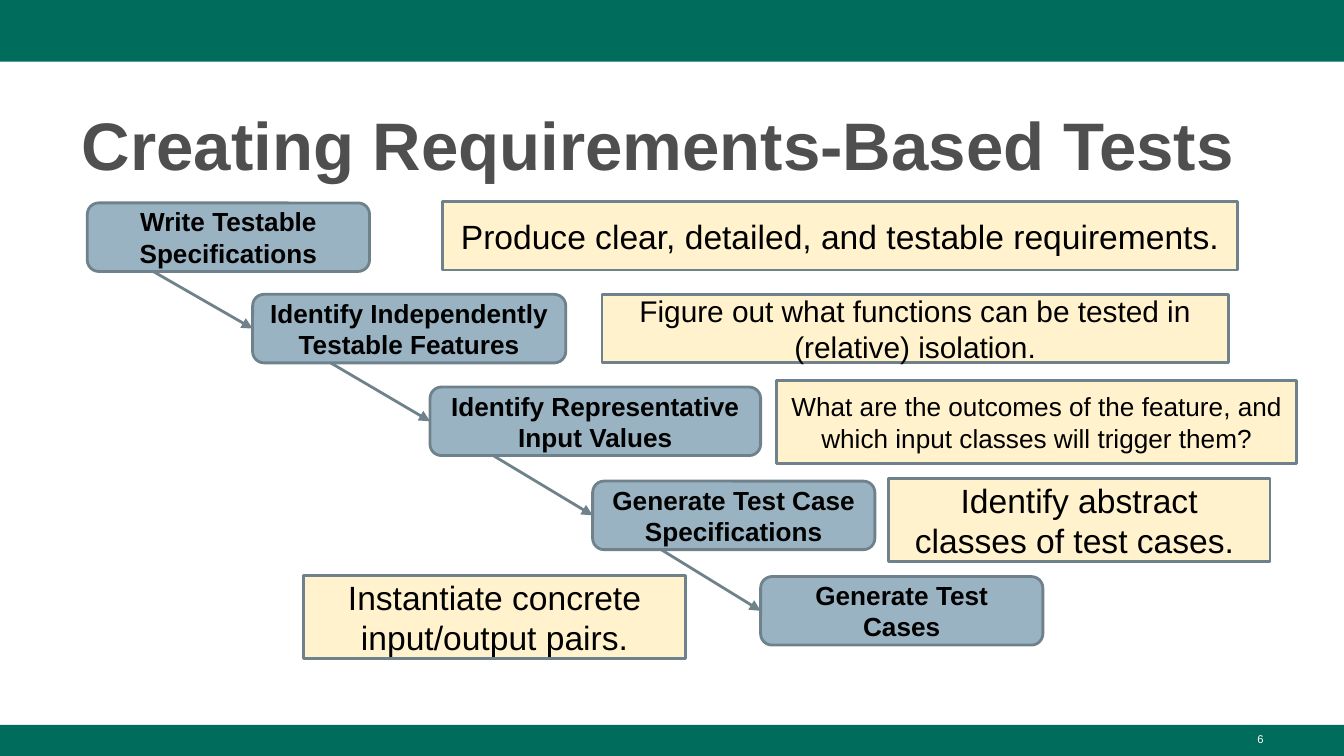
from lxml import etree
from pptx import Presentation
from pptx import util as u
from pptx.dml.color import RGBColor
from pptx.enum import shapes, text
from pptx.oxml.ns import qn

WIDTH = 10
HEIGHT = WIDTH * 9 / 16
GREEN, BLUE, CREAM, SLATE = "006C5C", "99B3C2", "FFF2CC", "6F828C"
STEP_HEIGHT = 0.51
ARROW_RUN = 0.74

# Each step: label, (left, top, width)
STEPS = [
    ("Write Testable Specifications", (0.65, 1.51, 2.1)),
    ("Identify Independently Testable Features", (1.88, 2.19, 2.33)),
    ("Identify Representative Input Values", (3.2, 2.88, 2.46)),
    ("Generate Test Case Specifications", (4.41, 3.58, 2.1)),
    ("Generate Test Cases", (5.66, 4.29, 2.1)),
]
# Each note: text, font size, (left, top, width, height)
NOTES = [
    ("Produce clear, detailed, and testable requirements.", 18,
     (3.29, 1.5, 5.92, 0.51)),
    ("Figure out what functions can be tested in (relative) isolation.", 16,
     (4.48, 2.19, 4.66, 0.51)),
    ("What are the outcomes of the feature, and which input classes "
     "will trigger them?", 14, (5.78, 2.83, 3.87, 0.62)),
    ("Identify abstract classes of test cases. ", 18,
     (6.61, 3.56, 2.84, 0.62)),
    ("Instantiate concrete input/output pairs.", 18,
     (2.26, 4.28, 2.84, 0.62)),
]


def color(hex_string):
    return RGBColor.from_string(hex_string)


def inches(box):
    return [u.Inches(length) for length in box]


def write(shape, words, size, ink, bold=False, align=text.PP_ALIGN.CENTER,
          anchor=text.MSO_ANCHOR.MIDDLE, insets=(0.1, 0.1, 0.1, 0.1)):
    frame = shape.text_frame
    frame.word_wrap = True
    frame.vertical_anchor = anchor
    (frame.margin_left, frame.margin_top,
     frame.margin_right, frame.margin_bottom) = inches(insets)
    frame.text = words
    paragraph = frame.paragraphs[0]
    paragraph.alignment = align
    font = paragraph.runs[0].font
    font.name, font.size, font.bold = "Arial", u.Pt(size), bold
    font.color.rgb = color(ink)
    return paragraph


def add_box(slide, kind, box, fill, outline=None):
    shape = slide.shapes.add_shape(kind, *inches(box))
    shape.shadow.inherit = False
    shape.fill.solid()
    shape.fill.fore_color.rgb = color(fill)
    if outline:
        shape.line.color.rgb = color(outline)
        shape.line.width = u.Pt(1.5)
    else:
        shape.line.fill.background()
    return shape


def add_arrow(slide, start, end):
    arrow = slide.shapes.add_connector(
        shapes.MSO_CONNECTOR.STRAIGHT, *inches(start + end))
    arrow.line.color.rgb = color(SLATE)
    arrow.line.width = u.Pt(1.5)
    etree.SubElement(arrow.line._get_or_add_ln(), qn("a:tailEnd"),
                     type="triangle")
    etree.SubElement(arrow._element.spPr, qn("a:effectLst"))


def add_bands(slide):
    for top, height in ((0, 0.46), (HEIGHT - 0.23, 0.23)):
        add_box(slide, shapes.MSO_SHAPE.RECTANGLE,
                (0, top, WIDTH, height), GREEN)


def add_title(slide, box):
    title = slide.shapes.add_textbox(*inches(box))
    paragraph = write(title, "Creating Requirements-Based Tests", 36,
                      "4F4F4F", bold=True, align=text.PP_ALIGN.LEFT,
                      anchor=text.MSO_ANCHOR.BOTTOM,
                      insets=(0.1, 0.05, 0.1, 0.03))
    paragraph.line_spacing = 1.08


def add_staircase(slide):
    """Place the steps and join each to the next with an arrow."""
    for label, (left, top, width) in STEPS:
        step = add_box(slide, shapes.MSO_SHAPE.ROUNDED_RECTANGLE,
                       (left, top, width, STEP_HEIGHT), BLUE, SLATE)
        write(step, label, 14, "000000", bold=True)
    for (_, upper), (_, lower) in zip(STEPS, STEPS[1:]):
        add_arrow(slide, (lower[0] - ARROW_RUN, upper[1] + STEP_HEIGHT),
                  (lower[0], lower[1] + STEP_HEIGHT / 2))


def add_notes(slide):
    for words, size, box in NOTES:
        note = add_box(slide, shapes.MSO_SHAPE.RECTANGLE, box, CREAM, SLATE)
        write(note, words, size, "000000")


def add_slide_number(slide, box):
    number = slide.shapes.add_textbox(*inches(box))
    write(number, "6", 6, "FFFFFF", align=text.PP_ALIGN.RIGHT,
          anchor=text.MSO_ANCHOR.TOP, insets=(0.1, 0.05, 0.1, 0.05))


def main():
    presentation = Presentation()
    presentation.slide_width = u.Inches(WIDTH)
    presentation.slide_height = u.Inches(HEIGHT)
    slide = presentation.slides.add_slide(presentation.slide_layouts[6])
    add_bands(slide)
    add_title(slide, (0.51, 0.67, 8.99, 0.73))
    add_staircase(slide)
    add_notes(slide)
    add_slide_number(slide, (7.17, 5.4, 2.33, 0.23))
    presentation.save("out.pptx")


if __name__ == "__main__":
    main()
